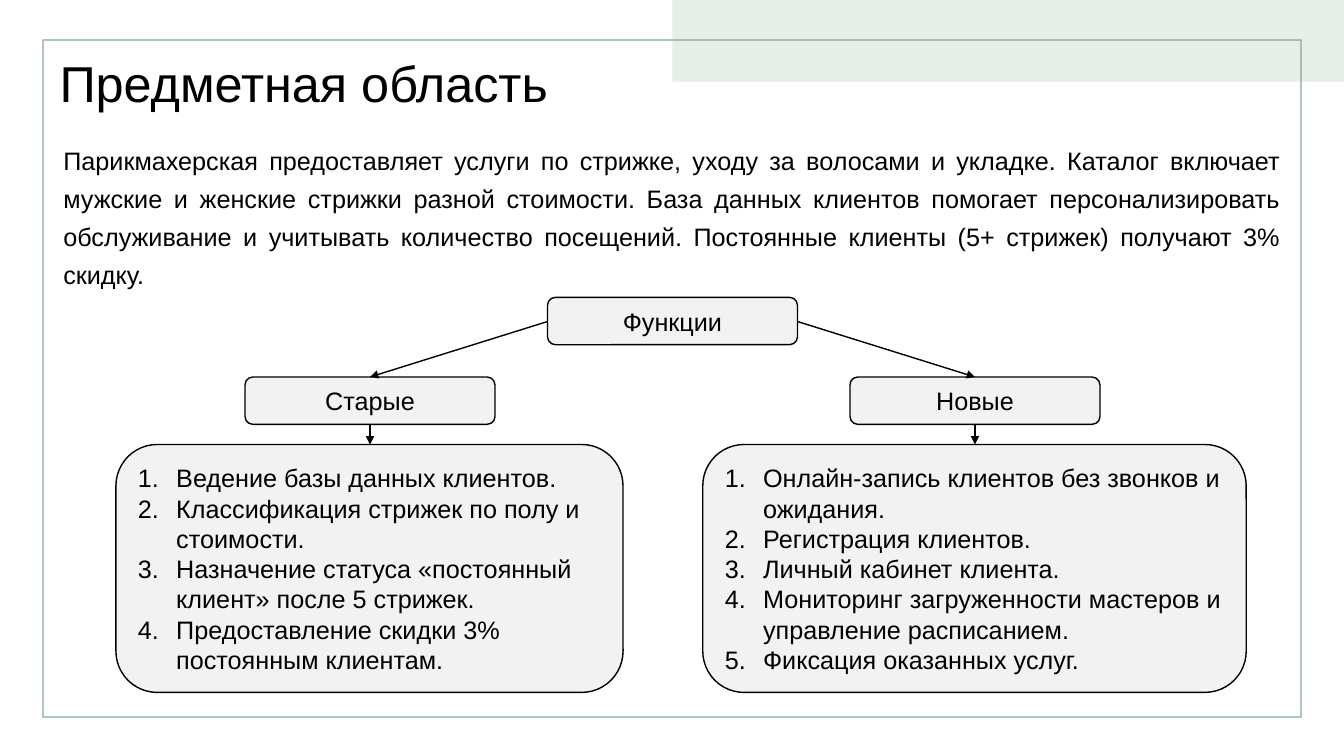
from pptx import Presentation
from pptx.dml.color import RGBColor
from pptx.enum.shapes import MSO_CONNECTOR, MSO_SHAPE
from pptx.enum.text import MSO_ANCHOR, PP_ALIGN
from pptx.oxml.ns import qn
from pptx.util import Pt
from lxml.etree import SubElement

PX = 9144
WIDE, HIGH = 1333, 750
MID = WIDE // 2 + 1
BLACK = RGBColor(0x00, 0x00, 0x00)
GREY = RGBColor(0xF2, 0xF2, 0xF2)
MINT = RGBColor(0xE7, 0xEE, 0xE8)
GREEN = RGBColor(0x88, 0xA8, 0x8E)
FONT = "Arial"

NODE_W, NODE_H = 248, 47
ROOT_Y, HEAD_Y, LIST_Y, LIST_H = 295, 374, 441, 246
STEP = 300
INDENT = 38

TITLE = "Предметная область"
INTRO = (
    "Парикмахерская предоставляет услуги по стрижке, уходу за волосами и укладке. "
    "Каталог включает мужские и женские стрижки разной стоимости. "
    "База данных клиентов помогает персонализировать обслуживание и учитывать "
    "количество посещений. Постоянные клиенты (5+ стрижек) получают 3% скидку."
)
BRANCHES = [
    (-1, "Старые", 503, [
        "Ведение базы данных клиентов.",
        "Классификация стрижек по полу и стоимости.",
        "Назначение статуса «постоянный клиент» после 5 стрижек.",
        "Предоставление скидки 3% постоянным клиентам.",
    ]),
    (1, "Новые", 539, [
        "Онлайн-запись клиентов без звонков и ожидания.",
        "Регистрация клиентов.",
        "Личный кабинет клиента.",
        "Мониторинг загруженности мастеров и управление расписанием.",
        "Фиксация оказанных услуг.",
    ]),
]


def emu(*sizes):
    return [size * PX for size in sizes]


def add_run(para, text, size=18):
    run = para.add_run()
    run.text = text
    run.font.size = Pt(size)
    run.font.name = FONT
    run.font.color.rgb = BLACK


def add_form(slide, kind, box, fill, line=None):
    form = slide.shapes.add_shape(kind, *emu(*box))
    form.shadow.inherit = False
    form.fill.solid()
    form.fill.fore_color.rgb = fill
    if line is None:
        form.line.fill.background()
    else:
        form.line.color.rgb = line
        form.line.width = Pt(1)
    return form


def add_card(slide, box):
    card = add_form(slide, MSO_SHAPE.ROUNDED_RECTANGLE, box, GREY, BLACK)
    card.text_frame.word_wrap = True
    card.text_frame.vertical_anchor = MSO_ANCHOR.MIDDLE
    return card


def add_node(slide, center, top, text):
    card = add_card(slide, (center - NODE_W // 2, top, NODE_W, NODE_H))
    para = card.text_frame.paragraphs[0]
    para.alignment = PP_ALIGN.CENTER
    add_run(para, text)


def add_list(slide, box, items):
    frame = add_card(slide, box).text_frame
    for row, item in enumerate(items):
        para = frame.add_paragraph() if row else frame.paragraphs[0]
        para.alignment = PP_ALIGN.LEFT
        props = para._p.get_or_add_pPr()
        props.set("marL", str(INDENT * PX))
        props.set("indent", str(-INDENT * PX))
        SubElement(props, qn("a:buFont"), typeface="+mj-lt")
        SubElement(props, qn("a:buAutoNum"), type="arabicPeriod")
        add_run(para, item)


def add_arrow(slide, start, end):
    arrow = slide.shapes.add_connector(MSO_CONNECTOR.STRAIGHT, *emu(*start, *end))
    arrow.line.color.rgb = BLACK
    arrow.line.width = Pt(1)
    SubElement(arrow.line._get_or_add_ln(), qn("a:tailEnd"), type="triangle")
    SubElement(arrow._element.spPr, qn("a:effectLst"))


def add_decor(slide):
    add_form(slide, MSO_SHAPE.RECTANGLE, (MID, 0, WIDE - MID, 81), MINT)
    border = add_form(slide, MSO_SHAPE.FRAME, (42, 39, 1249, 673), GREEN)
    border.adjustments[0] = 0.002


def add_title(slide, box):
    title = slide.shapes.title
    title.left, title.top, title.width, title.height = emu(*box)
    frame = title.text_frame
    frame.word_wrap = True
    frame.vertical_anchor = MSO_ANCHOR.MIDDLE
    para = frame.paragraphs[0]
    para.alignment = PP_ALIGN.LEFT
    para.line_spacing = 0.9
    add_run(para, TITLE, 36)
    title.element.getparent().append(title.element)


def add_intro(slide, box):
    frame = slide.shapes.add_textbox(*emu(*box)).text_frame
    frame.word_wrap = True
    para = frame.paragraphs[0]
    para.alignment = PP_ALIGN.JUSTIFY
    para.line_spacing = 1.25
    para.space_before = Pt(10)
    add_run(para, INTRO)


def add_branch(slide, side, name, width, items):
    center = MID + side * STEP
    add_node(slide, center, HEAD_Y, name)
    add_list(slide, (center - width // 2 - 1, LIST_Y, width, LIST_H), items)
    root = (MID + side * NODE_W // 2, ROOT_Y + NODE_H // 2 + 1)
    add_arrow(slide, root, (center, HEAD_Y))
    add_arrow(slide, (center, HEAD_Y + NODE_H), (center, LIST_Y))


def main():
    deck = Presentation()
    deck.slide_width, deck.slide_height = emu(WIDE, HIGH)
    slide = deck.slides.add_slide(deck.slide_layouts[5])
    add_decor(slide)
    add_title(slide, (49, 42, 625, 87))
    add_intro(slide, (53, 132, 1227, 164))
    add_node(slide, MID, ROOT_Y, "Функции")
    for branch in BRANCHES:
        add_branch(slide, *branch)
    deck.save("out.pptx")


if __name__ == "__main__":
    main()
